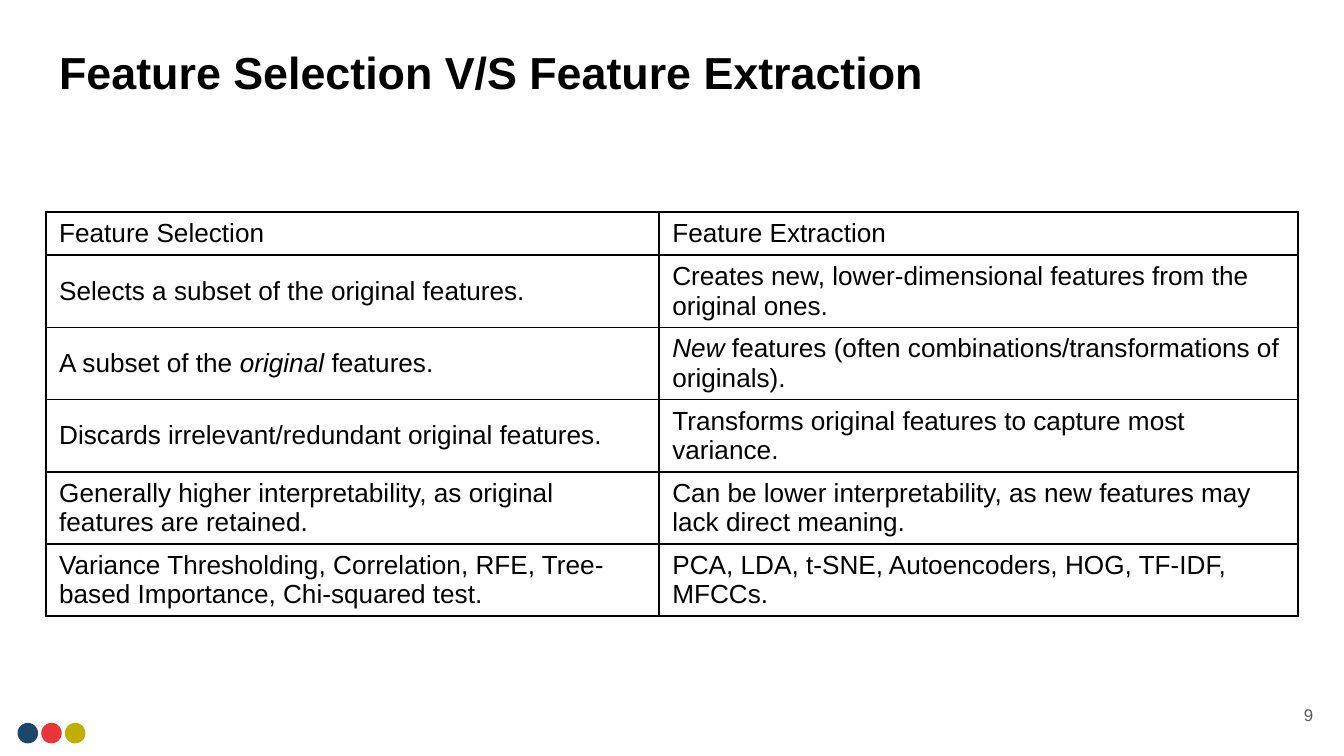
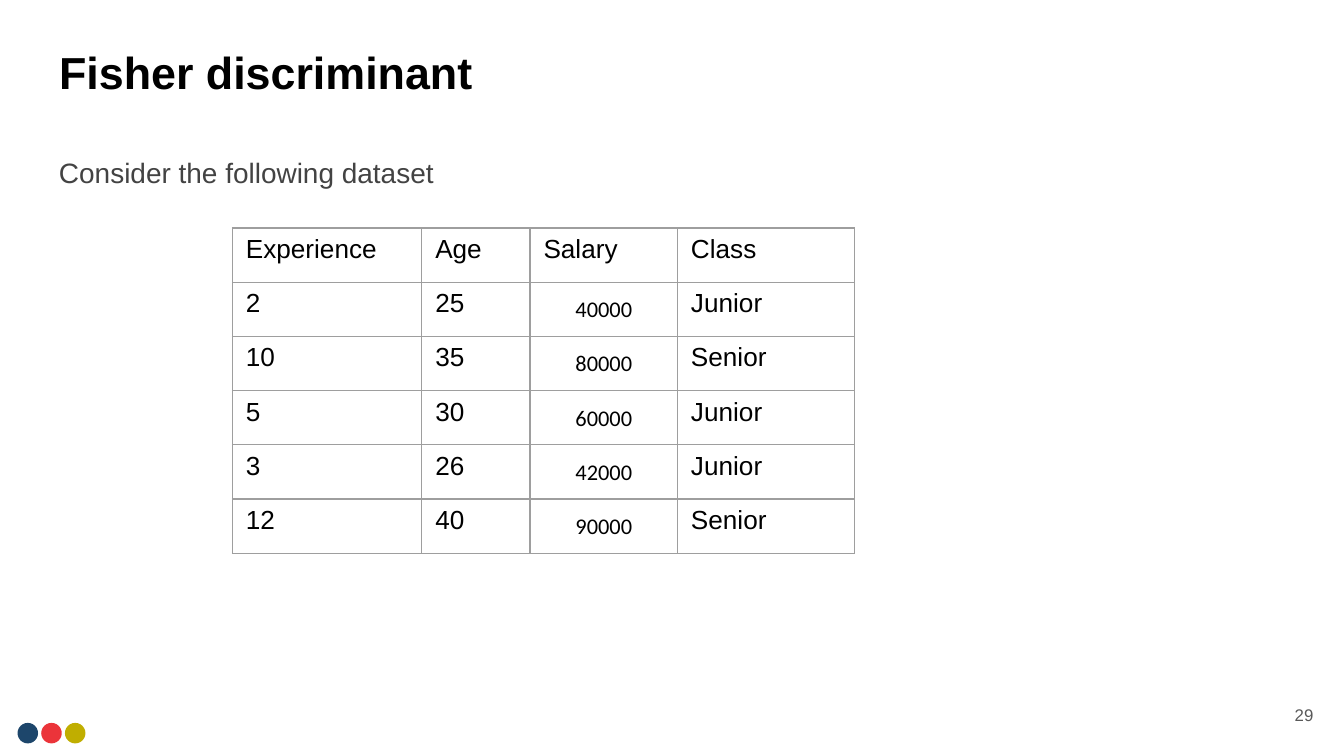
from dataclasses import dataclass
from typing import NamedTuple

from lxml.etree import SubElement
from pptx import Presentation
from pptx.dml.color import RGBColor
from pptx.enum.shapes import MSO_SHAPE
from pptx.enum.text import MSO_ANCHOR, MSO_AUTO_SIZE, PP_ALIGN
from pptx.oxml.ns import qn
from pptx.util import Pt


@dataclass(frozen=True)
class Theme:
    font: str = "Arial"
    number_font: str = "Calibri"
    ink: str = "000000"
    body_ink: str = "434343"
    page_ink: str = "595959"
    grid: str = "9E9E9E"
    dots: tuple = ("1D466B", "EB343A", "C0AE00")
    title_size: float = 24
    body_size: float = 15
    cell_size: float = 14
    number_size: float = 12
    page_size: float = 9
    inset: float = 7.2


class Box(NamedTuple):
    left: float
    top: float
    width: float
    height: float

    def lengths(self):
        return [Pt(value) for value in self]


THEME = Theme()
PAGE = Box(0, 0, 720, 405)
TITLE = Box(24.5, 16.5, 671, 44)
BODY = Box(24.5, 73.5, 685.5, 305)
DOTS = Box(9.4, 387.3, 36.4, 11)
PAGE_NUMBER = Box(667.5, 367.2, 43.2, 31)
COMPARISON_TABLE = Box(24.5, 113.7, 671, 216.5)
DATASET_TABLE = Box(124.5, 122.2, 333.5, 174.3)

COMPARISON = [
    ("Feature Selection", "Feature Extraction"),
    ("Selects a subset of the original features.",
     "Creates new, lower-dimensional features from the original ones."),
    ("A subset of the *original* features.",
     "*New* features (often combinations/transformations of originals)."),
    ("Discards irrelevant/redundant original features.",
     "Transforms original features to capture most variance."),
    ("Generally higher interpretability, as original features are retained.",
     "Can be lower interpretability, as new features may lack direct meaning."),
    ("Variance Thresholding, Correlation, RFE, Tree-based Importance, Chi-squared test.",
     "PCA, LDA, t-SNE, Autoencoders, HOG, TF-IDF, MFCCs."),
]
DATASET = [
    ("Experience", "Age", "Salary", "Class"),
    ("2", "25", "40000", "Junior"),
    ("10", "35", "80000", "Senior"),
    ("5", "30", "60000", "Junior"),
    ("3", "26", "42000", "Junior"),
    ("12", "40", "90000", "Senior"),
]


def set_attributes(target, values):
    for name, value in values.items():
        setattr(target, name, value)


def write(frame, text, size, color=THEME.ink, font=THEME.font, bold=False,
          align=PP_ALIGN.LEFT, spacing=1.0):
    """Fill a text frame; words between asterisks become italic."""
    para = frame.paragraphs[0]
    set_attributes(para, {"alignment": align, "line_spacing": spacing})
    for index, part in enumerate(text.split("*")):
        if part:
            span = para.add_run()
            span.text = part
            set_attributes(span.font, {"name": font, "size": Pt(size), "bold": bold,
                                       "italic": index % 2 == 1})
            span.font.color.rgb = RGBColor.from_string(color)


def format_frame(frame, anchor):
    set_attributes(frame, {
        "word_wrap": True, "auto_size": MSO_AUTO_SIZE.NONE, "vertical_anchor": anchor,
        **{f"margin_{side}": Pt(THEME.inset) for side in ("left", "right", "top", "bottom")},
    })


def add_text(page, box, text, anchor=MSO_ANCHOR.TOP, **style):
    frame = page.shapes.add_textbox(*box.lengths()).text_frame
    format_frame(frame, anchor)
    write(frame, text, **style)


def add_title(page, box, text):
    title = page.shapes.title
    set_attributes(title, dict(zip(box._fields, box.lengths())))
    format_frame(title.text_frame, MSO_ANCHOR.MIDDLE)
    write(title.text_frame, text, THEME.title_size, bold=True)


def add_dots(page, box):
    group = page.shapes.add_group_shape()
    pitch = (box.width - box.height) / (len(THEME.dots) - 1)
    for index, color in enumerate(THEME.dots):
        place = Box(box.left + index * pitch, box.top, box.height, box.height)
        dot = group.shapes.add_shape(MSO_SHAPE.OVAL, *place.lengths())
        dot.shadow.inherit = False
        dot.fill.solid()
        dot.fill.fore_color.rgb = RGBColor.from_string(color)
        dot.line.fill.background()


def set_borders(cell, color, width):
    properties = cell._tc.get_or_add_tcPr()
    for side in ("lnL", "lnR", "lnT", "lnB"):
        line = SubElement(properties, qn(f"a:{side}"), w=str(Pt(width)))
        fill = SubElement(line, qn("a:solidFill"))
        SubElement(fill, qn("a:srgbClr"), val=color)


def add_grid(page, box, rows, widths, heights, border):
    """Add an unfilled table whose cells share one border; return it."""
    table = page.shapes.add_table(len(rows), len(widths), *box.lengths()).table
    set_attributes(table, {"first_row": False, "horz_banding": False})
    for column, width in zip(table.columns, widths):
        column.width = Pt(width)
    for row, height in zip(table.rows, heights):
        row.height = Pt(height)
    for cell in table.iter_cells():
        set_borders(cell, *border)
        cell.fill.background()
    return table


def add_comparison(page, box, rows):
    first_width, header_height = 328.5, 23
    row_height = (box.height - header_height) / (len(rows) - 1)
    heights = [header_height] + [row_height] * (len(rows) - 1)
    table = add_grid(page, box, rows, (first_width, box.width - first_width),
                     heights, (THEME.ink, 1))
    for cell, text in zip(table.iter_cells(), (text for row in rows for text in row)):
        cell.vertical_anchor = MSO_ANCHOR.MIDDLE
        write(cell.text_frame, text, THEME.cell_size)


def add_dataset(page, box, rows):
    widths = (101.5, 58, 79, 95)
    heights = [box.height / len(rows)] * len(rows)
    table = add_grid(page, box, rows, widths, heights, (THEME.grid, 0.75))
    salary = rows[0].index("Salary")
    for r, row in enumerate(rows):
        for c, text in enumerate(row):
            cell = table.cell(r, c)
            if r > 0 and c == salary:
                set_attributes(cell, {
                    "vertical_anchor": MSO_ANCHOR.MIDDLE, "margin_left": Pt(0.75),
                    "margin_right": Pt(0.75), "margin_top": Pt(0.75), "margin_bottom": 0})
                write(cell.text_frame, text, THEME.number_size,
                      font=THEME.number_font, align=PP_ALIGN.CENTER)
            else:
                write(cell.text_frame, text, THEME.cell_size)


def add_page(deck, title, number):
    """Add a slide with the shared title, dots and page number."""
    page = deck.slides.add_slide(deck.slide_layouts.get_by_name("Title Only"))
    add_dots(page, DOTS)
    add_title(page, TITLE, title)
    add_text(page, PAGE_NUMBER, str(number), MSO_ANCHOR.MIDDLE, size=THEME.page_size,
             color=THEME.page_ink, align=PP_ALIGN.RIGHT)
    return page


def add_comparison_page(deck):
    page = add_page(deck, "Feature Selection V/S Feature Extraction", 9)
    add_comparison(page, COMPARISON_TABLE, COMPARISON)


def add_dataset_page(deck):
    page = add_page(deck, "Fisher discriminant", 29)
    add_text(page, BODY, "Consider the following dataset", size=THEME.body_size,
             color=THEME.body_ink, spacing=1.15)
    add_dataset(page, DATASET_TABLE, DATASET)


def main():
    deck = Presentation()
    set_attributes(deck, {"slide_width": Pt(PAGE.width), "slide_height": Pt(PAGE.height)})
    add_comparison_page(deck)
    add_dataset_page(deck)
    deck.save("out.pptx")


if __name__ == "__main__":
    main()
